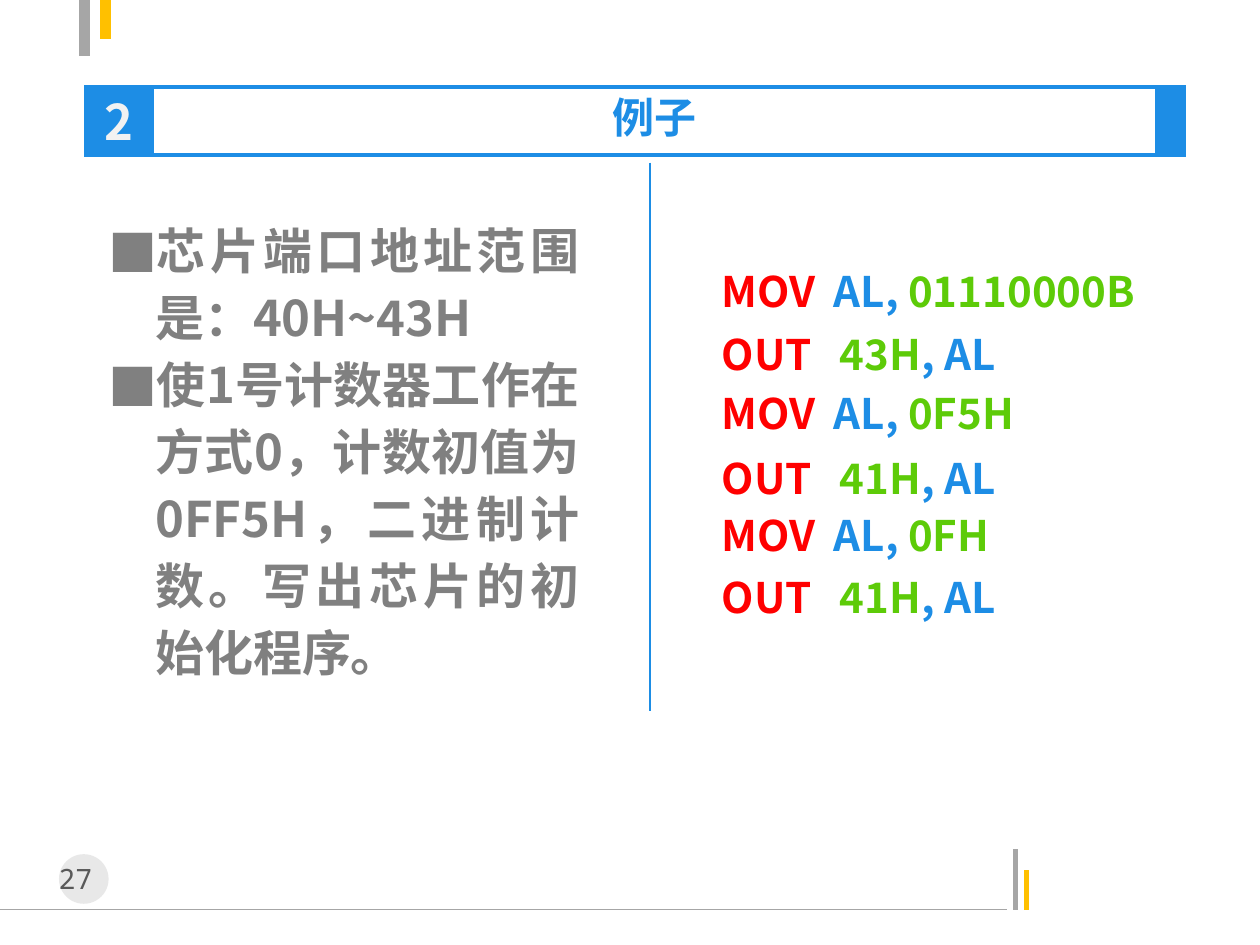
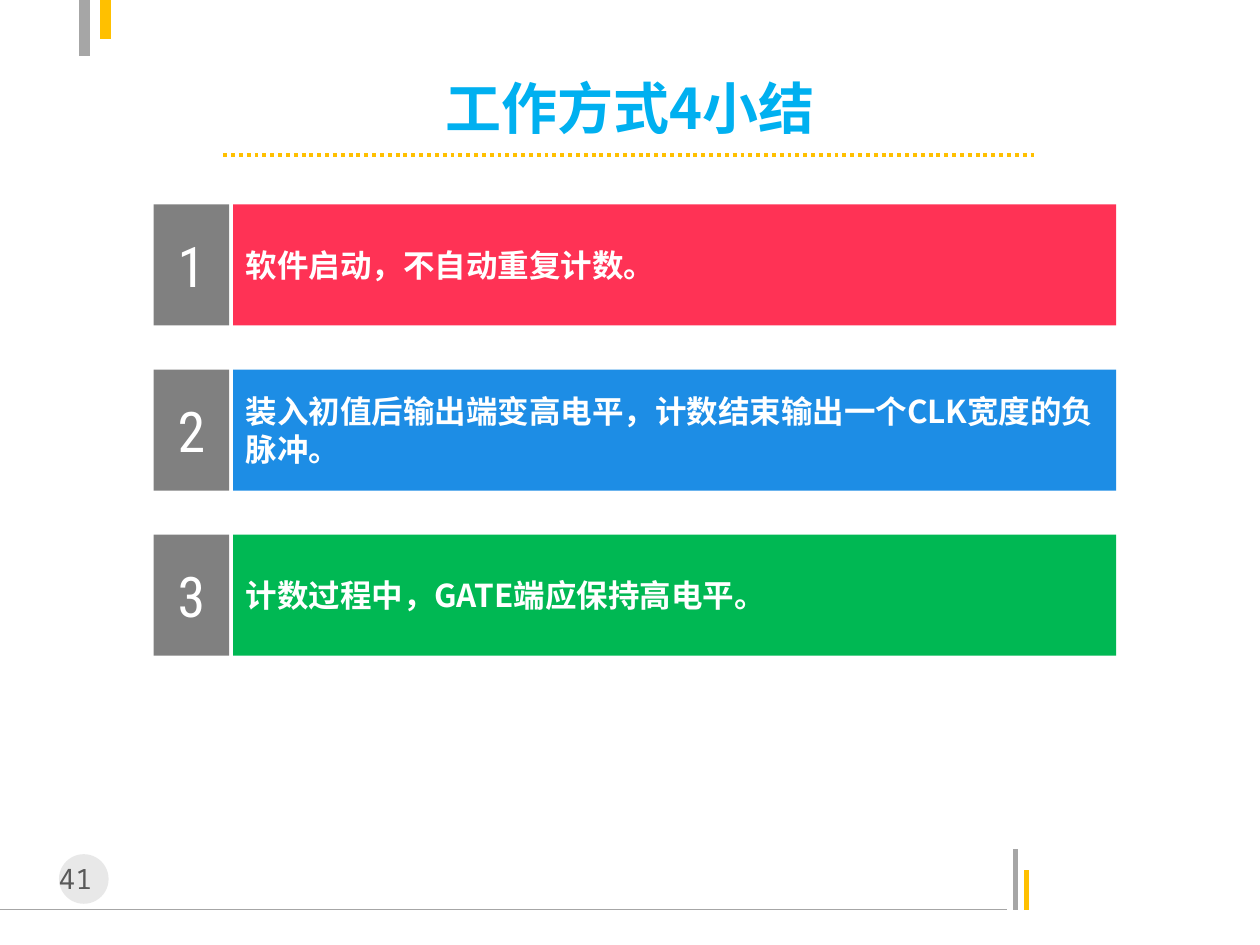
from lxml import etree
from pptx import Presentation
from pptx import util as u
from pptx.dml.color import RGBColor
from pptx.enum import dml, lang, shapes, text
from pptx.oxml import ns

BLUE = RGBColor(0x1D, 0x8D, 0xE5)
SKY = RGBColor(0x00, 0xB0, 0xF0)
RED = RGBColor(0xFF, 0x00, 0x00)
LIME = RGBColor(0x5D, 0xCB, 0x08)
CRIMSON = RGBColor(0xFF, 0x32, 0x55)
GREEN = RGBColor(0x00, 0xB8, 0x53)
AMBER = RGBColor(0xFF, 0xC0, 0x00)
GRAY = RGBColor(0x80, 0x80, 0x80)
LIGHT_GRAY = RGBColor(0xA6, 0xA6, 0xA6)
PALE_GRAY = RGBColor(0xBF, 0xBF, 0xBF)
DARK_GRAY = RGBColor(0x59, 0x59, 0x59)
OFF_WHITE = RGBColor(0xF2, 0xF2, 0xF2)
WHITE = RGBColor(0xFF, 0xFF, 0xFF)

CJK = "Noto Sans CJK SC"
PAGE_NUMBER = {"name": "Noto Sans Mono", "size": u.Pt(16), "bold": False}
BADGE = {"name": CJK, "size": u.Pt(28), "bold": True}
HEADING = {"name": CJK, "size": u.Pt(24), "bold": True}
BIG_TITLE = {"name": CJK, "size": u.Pt(32), "bold": True}
ROW_NUMBER = {"name": "Roboto Condensed", "size": u.Pt(32), "bold": False}
ROW_TEXT = {"name": CJK, "size": u.Pt(18), "bold": True}

CENTER = {"alignment": text.PP_ALIGN.CENTER}
LEFT = {"alignment": text.PP_ALIGN.LEFT}
CODE = {"alignment": text.PP_ALIGN.LEFT, "line_spacing": 1.29}
BODY = {"alignment": text.PP_ALIGN.JUSTIFY, "line_spacing": 1.14}
TOP, MIDDLE = text.MSO_ANCHOR.TOP, text.MSO_ANCHOR.MIDDLE
RECTANGLE, OVAL = shapes.MSO_SHAPE.RECTANGLE, shapes.MSO_SHAPE.OVAL


def add_line(slide, start, end, color, width):
    line = slide.shapes.add_connector(
        shapes.MSO_CONNECTOR.STRAIGHT, *[u.Cm(value) for value in start + end])
    line.line.color.rgb = color
    line.line.width = u.Pt(width)
    etree.SubElement(line._element.spPr, ns.qn("a:effectLst"))
    return line


def add_box(slide, place, paragraphs=(), font=None, layout=CENTER,
            anchor=MIDDLE, kind=None, fill=None, outline=None):
    """Add a preset shape, or a text box without kind; a paragraph is a list of (text, color)."""
    place = [u.Cm(value) for value in place]
    if kind is None:
        shape = slide.shapes.add_textbox(*place)
    else:
        shape = slide.shapes.add_shape(kind, *place)
        shape.shadow.inherit = False
        shape.fill.solid()
        shape.fill.fore_color.rgb = fill
        if outline is None:
            shape.line.fill.background()
        else:
            shape.line.color.rgb = outline
            shape.line.width = u.Pt(0.75)
    frame = shape.text_frame
    frame.word_wrap = True
    frame.vertical_anchor = anchor
    for index, runs in enumerate(paragraphs):
        paragraph = frame.add_paragraph() if index else frame.paragraphs[0]
        for key, value in layout.items():
            setattr(paragraph, key, value)
        for content, color in runs:
            run = paragraph.add_run()
            run.text = content
            for key, value in font.items():
                setattr(run.font, key, value)
            run.font.color.rgb = color
            run.font.language_id = lang.MSO_LANGUAGE_ID.SIMPLIFIED_CHINESE
            etree.SubElement(run.font._element, ns.qn("a:ea"), typeface=font["name"])
    return shape


presentation = Presentation()
presentation.slide_width = u.Cm(25.4)
presentation.slide_height = u.Cm(19.05)

# Shared decoration and page numbers
decoration = [
    ((0, 18.34), (20.3, 18.34), LIGHT_GRAY, 0.75),
    ((20.47, 18.34), (20.47, 17.12), LIGHT_GRAY, 3),
    ((20.7, 18.34), (20.7, 17.53), AMBER, 3),
    ((1.7, 1.12), (1.7, -0.08), LIGHT_GRAY, 6),
    ((2.13, 0), (2.13, 0.79), AMBER, 6),
]
slides = []
for page in ("27 ", "41 "):
    slide = presentation.slides.add_slide(presentation.slide_layouts[6])
    for line_values in decoration:
        add_line(slide, *line_values)
    disc = add_box(slide, (1.19, 17.22, 1, 1), kind=OVAL, fill=PALE_GRAY)
    disc_color = disc.fill._xPr.find(".//" + ns.qn("a:srgbClr"))
    etree.SubElement(disc_color, ns.qn("a:alpha"), val="35000")
    add_box(slide, (0.79, 17.25, 1.8, 0.94), [[(page, DARK_GRAY)]], PAGE_NUMBER, anchor=TOP)
    slides.append(slide)
example, summary = slides

# Example: title band
for y in (1.75, 3.12):
    add_line(example, (1.7, y), (23.9, y), BLUE, 2.25)
add_box(example, (1.7, 1.75, 1.4, 1.37), [[("2", OFF_WHITE)]], BADGE,
        kind=RECTANGLE, fill=BLUE, outline=BLUE)
add_box(example, (3.1, 1.73, 20.17, 1.27), [[("例子", BLUE)]], HEADING, anchor=TOP)
add_box(example, (23.29, 1.73, 0.61, 1.37), kind=RECTANGLE, fill=BLUE, outline=BLUE)
add_line(example, (13.11, 3.28), (13.11, 14.33), BLUE, 1)

# Example: program, one instruction per box
program = [
    (4.93, "MOV", [("AL, ", BLUE), ("01110000B", LIME)]),
    (6.2, "OUT", [("43H", LIME), (", AL", BLUE)]),
    (7.39, "MOV", [("AL, ", BLUE), ("0F5H", LIME)]),
    (8.71, "OUT", [("41H", LIME), (", AL", BLUE)]),
    (9.86, "MOV", [("AL, ", BLUE), ("0FH", LIME)]),
    (11.1, "OUT", [("41H", LIME), (", AL", BLUE)]),
]
operand_stops = {"MOV": 2.26, "OUT": 2.38}
for y, mnemonic, operands in program:
    instruction = add_box(example, (14.3, y, 9.8, 1.57), [[(mnemonic + "\t", RED)] + operands],
                          HEADING, CODE, TOP)
    properties = instruction.text_frame.paragraphs[0]._p.get_or_add_pPr()
    stops = etree.SubElement(properties, ns.qn("a:tabLst"))
    etree.SubElement(stops, ns.qn("a:tab"), pos=str(u.Cm(operand_stops[mnemonic])), algn="l")

# Example: task description
task = [
    "芯片端口地址范围是：40H~43H",
    "使1号计数器工作在方式0，计数初值为0FF5H，二进制计数。写出芯片的初始化程序。",
]
description = add_box(example, (1.93, 4.11, 10, 9.8), [[(item, GRAY)] for item in task],
                      BADGE, BODY)
for paragraph in description.text_frame.paragraphs:
    properties = paragraph._p.get_or_add_pPr()
    properties.set("marL", str(u.Cm(0.95)))
    properties.set("indent", str(-u.Cm(0.95)))
    etree.SubElement(properties, ns.qn("a:buFont"), typeface=CJK)
    etree.SubElement(properties, ns.qn("a:buChar"), char="■")

# Summary: title with dotted rule
add_box(summary, (3.5, 1.52, 18.4, 1.27), [[("工作方式4小结", SKY)]], BIG_TITLE)
rule = add_line(summary, (4.5, 3.12), (20.9, 3.12), AMBER, 2.25)
rule.line.dash_style = dml.MSO_LINE.ROUND_DOT

# Summary: numbered rows
rows = [
    ("软件启动，不自动重复计数。", CRIMSON),
    ("装入初值后输出端变高电平，计数结束输出一个CLK宽度的负脉冲。", BLUE),
    ("计数过程中，GATE端应保持高电平。", GREEN),
]
for index, (content, color) in enumerate(rows):
    y = 4.12 + 3.33 * index
    add_box(summary, (3.1, y, 1.52, 2.44), [[(str(index + 1), WHITE)]], ROW_NUMBER,
            kind=RECTANGLE, fill=GRAY)
    add_box(summary, (4.7, y, 17.8, 2.44), [[(content, WHITE)]], ROW_TEXT, LEFT,
            kind=RECTANGLE, fill=color)

presentation.save("out.pptx")
